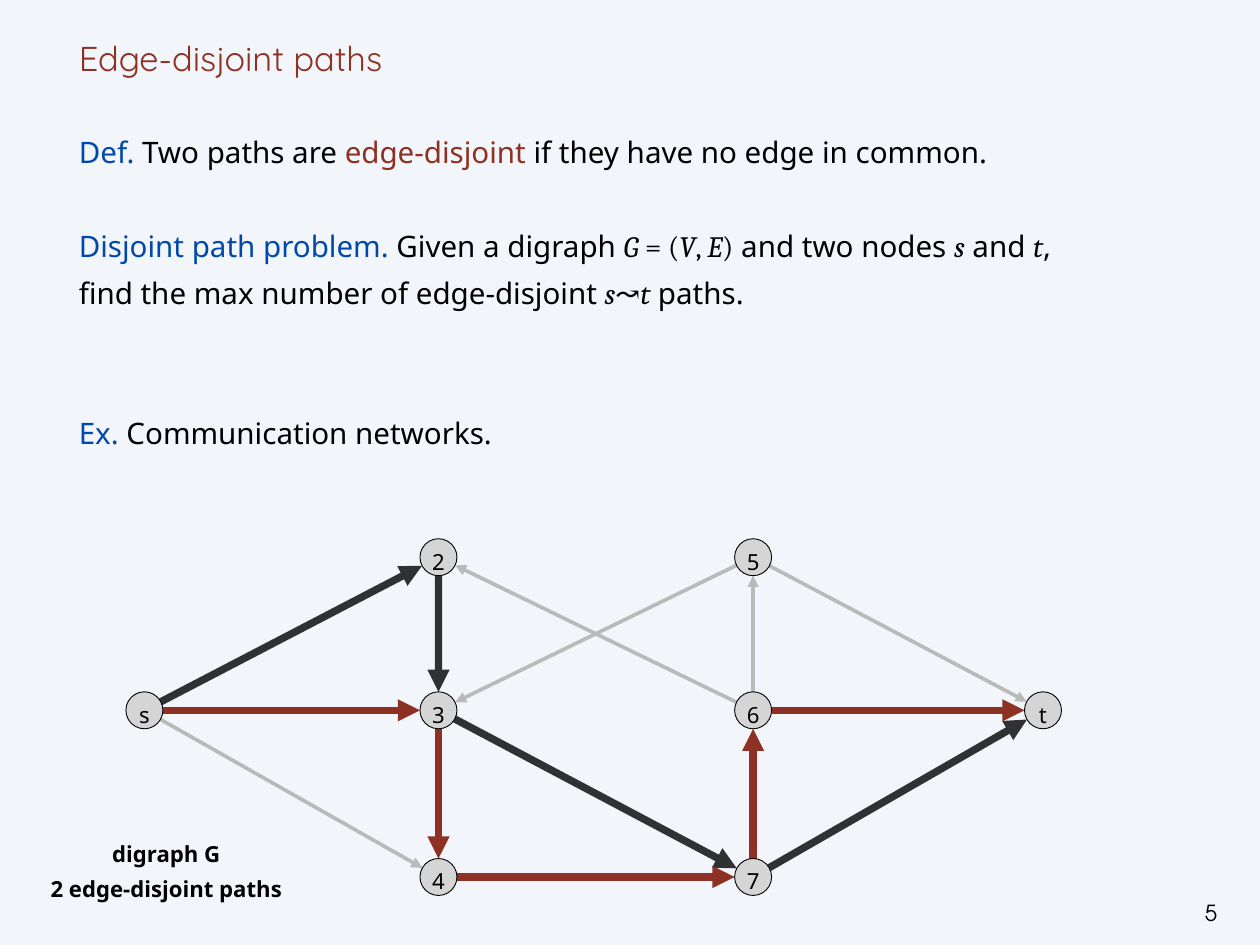
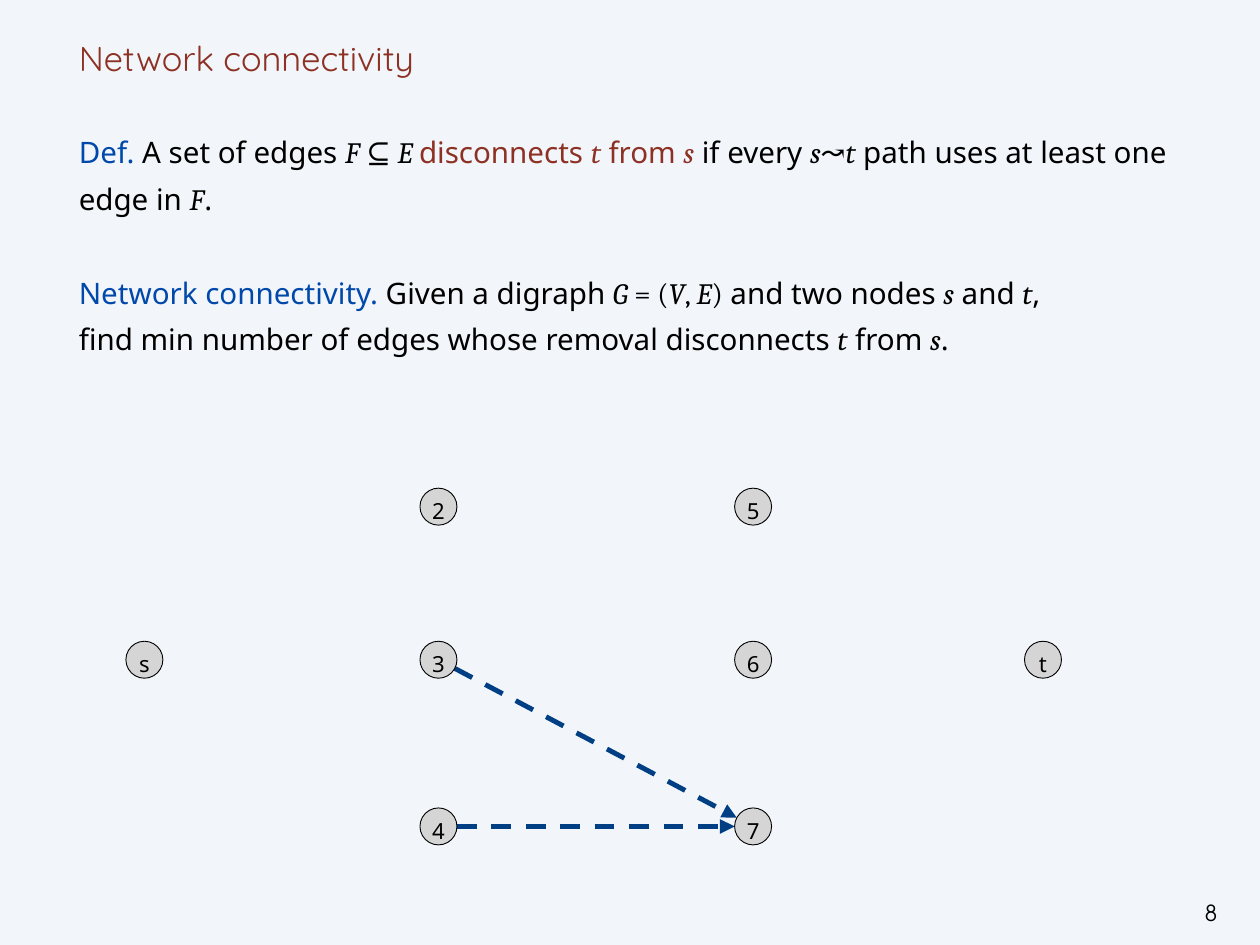
"""Build two lecture slides on edge-disjoint paths and network connectivity."""
import math

from lxml import etree
from pptx import Presentation, util as u
from pptx.dml import color as colors
from pptx.enum import dml, shapes, text
from pptx.oxml import ns

BACKGROUND, BLACK, GREY, NODE_FILL = "F2F6FA", "000000", "BABABA", "D5D5D5"
RED, BLUE, NAVY = "8D3124", "0048AA", "003F83"
SANS, SERIF = "Noto Sans", "Cambria"
EN_SPACE = " "
LINE = u.Pt(38)
RADIUS = 0.53
NODES = {
    "s": (4.14, 20.37), "2": (12.57, 15.98), "3": (12.57, 20.37), "4": (12.57, 25.15),
    "5": (21.59, 15.98), "6": (21.59, 20.37), "7": (21.59, 25.15), "t": (29.9, 20.37),
}
RUN_STYLES = {
    "plain": {},
    "label": {"colour": BLUE},
    "key": {"colour": RED},
    "math": {"name": SERIF, "italic": True},
    "symbol": {"name": SERIF},
    "key math": {"name": SERIF, "italic": True, "colour": RED},
}
EDGE_STYLES = {
    "first path": {"colour": RED, "width": 6},
    "second path": {"colour": BLACK, "width": 6, "alpha": 80},
    "unused": {"colour": GREY, "width": 3},
    "cut": {"colour": NAVY, "width": 4, "dash": dml.MSO_LINE.DASH},
}
GIVEN_DIGRAPH = [
    ("plain", "Given a digraph "), ("math", "G"), ("symbol", " = ("), ("math", "V"),
    ("symbol", ", "), ("math", "E"), ("symbol", ")"), ("plain", " and two nodes "),
    ("math", "s"), ("plain", " and "), ("math", "t"), ("plain", ","), ("break", ""),
]
S_TO_T = [("math", "s"), ("symbol", "↝"), ("math", "t")]
SLIDES = [
    {
        "title": "Edge-disjoint paths",
        "number": "5",
        "body": [
            (0, "Def.", [
                ("plain", "Two paths are "), ("key", "edge-disjoint"),
                ("plain", " if they have no edge in common."),
            ]),
            (1, "Disjoint path problem.", [
                *GIVEN_DIGRAPH, ("plain", "find the max number of edge-disjoint "),
                *S_TO_T, ("plain", " paths."),
            ]),
            (2, "Ex.", [("plain", "Communication networks.")]),
        ],
        "rise": 0,
        "edges": {
            "unused": ["s4", "65", "5t", "62", "53"],
            "second path": ["s2", "23", "37", "7t"],
            "first path": ["s3", "34", "47", "76", "6t"],
        },
        "caption": ["digraph G", "2 edge-disjoint paths"],
    },
    {
        "title": "Network connectivity",
        "number": "8",
        "body": [
            (0, "Def.", [
                ("plain", "A set of edges "), ("math", "F"), ("symbol", " ⊆ "), ("math", "E "),
                ("key", "disconnects "), ("key math", "t"), ("key", " from "), ("key math", "s"),
                ("plain", " if every "), *S_TO_T,
                ("plain", " path uses at least one edge in "), ("math", "F"), ("plain", "."),
            ]),
            (1, "Network connectivity.", [
                *GIVEN_DIGRAPH, ("plain", "find min number of edges whose removal disconnects "),
                ("math", "t"), ("plain", " from "), ("math", "s"), ("plain", "."),
            ]),
        ],
        "rise": 1.45,
        "edges": {"cut": ["37", "47"]},
        "caption": [],
    },
]


def paint(target, code):
    """Give a fill or font colour its hex value."""
    target.rgb = colors.RGBColor.from_string(code)


def write(shape, lines, size, spacing, font=SANS, colour=BLACK, bold=False, margin=0,
          align=text.PP_ALIGN.LEFT, anchor=text.MSO_ANCHOR.TOP, wrap=True):
    """Fill a shape with one paragraph per line and return its paragraphs."""
    frame = shape.text_frame
    frame.word_wrap = wrap
    frame.vertical_anchor = anchor
    frame.margin_left = frame.margin_right = u.Cm(margin)
    frame.margin_top = frame.margin_bottom = u.Cm(margin)
    frame.text = "\n".join(lines)
    for paragraph in frame.paragraphs:
        paragraph.alignment = align
        paragraph.line_spacing = spacing
        paragraph.font.name, paragraph.font.size = font, u.Pt(size)
        paragraph.font.bold = bold
        paint(paragraph.font.color, colour)
    return frame.paragraphs


presentation = Presentation()
presentation.slide_width, presentation.slide_height = u.Cm(36.12), u.Cm(27.1)
master_fill = presentation.slide_master.background.fill
master_fill.solid()
paint(master_fill.fore_color, BACKGROUND)

for content in SLIDES:
    slide = presentation.slides.add_slide(presentation.slide_layouts[6])

    title = slide.shapes.add_textbox(u.Cm(2.26), u.Cm(0), u.Cm(31.6), u.Cm(2.26))
    write(title, [content["title"]], 28, LINE, font="Quicksand", colour=RED,
          anchor=text.MSO_ANCHOR.BOTTOM)

    body = slide.shapes.add_textbox(u.Cm(2.26), u.Cm(3.53), u.Cm(31.6), u.Cm(22.7))
    paragraphs = write(body, [""] * len(content["body"]), 24, LINE)
    for paragraph, (gap, label, runs) in zip(paragraphs, content["body"]):
        paragraph.space_before = gap * LINE
        for style_name, words in [("label", label + EN_SPACE), *runs]:
            if style_name == "break":
                paragraph.add_line_break()
                continue
            style = RUN_STYLES[style_name]
            run = paragraph.add_run()
            run.text = words
            run.font.name = style.get("name")
            run.font.italic = style.get("italic")
            if "colour" in style:
                paint(run.font.color, style["colour"])

    centres = {name: (x, y - content["rise"]) for name, (x, y) in NODES.items()}
    for style_name, edges in content["edges"].items():
        style = EDGE_STYLES[style_name]
        for start, end in edges:
            (x1, y1), (x2, y2) = centres[start], centres[end]
            trim = RADIUS / math.hypot(x2 - x1, y2 - y1)
            dx, dy = trim * (x2 - x1), trim * (y2 - y1)
            edge = slide.shapes.add_connector(
                shapes.MSO_CONNECTOR.STRAIGHT,
                u.Cm(x1 + dx), u.Cm(y1 + dy), u.Cm(x2 - dx), u.Cm(y2 - dy))
            edge.line.width = u.Pt(style["width"])
            paint(edge.line.color, style["colour"])
            if "dash" in style:
                edge.line.dash_style = style["dash"]
            properties = edge.element.spPr
            outline = properties.find(ns.qn("a:ln"))
            if "alpha" in style:
                tint = outline.find(".//" + ns.qn("a:srgbClr"))
                etree.SubElement(tint, ns.qn("a:alpha"), val=str(style["alpha"] * 1000))
            etree.SubElement(outline, ns.qn("a:tailEnd"), type="triangle")
            etree.SubElement(properties, ns.qn("a:effectLst"))

    for name, (x, y) in centres.items():
        node = slide.shapes.add_shape(
            shapes.MSO_SHAPE.OVAL, u.Cm(x - RADIUS), u.Cm(y - RADIUS),
            u.Cm(2 * RADIUS), u.Cm(2 * RADIUS))
        node.shadow.inherit = False
        node.fill.solid()
        paint(node.fill.fore_color, NODE_FILL)
        paint(node.line.color, BLACK)
        node.line.width = u.Pt(0.75)
        write(node, [name], 18, 1.3, align=text.PP_ALIGN.CENTER,
              anchor=text.MSO_ANCHOR.MIDDLE, wrap=False)

    if content["caption"]:
        caption = slide.shapes.add_textbox(u.Cm(1.45), u.Cm(23.88), u.Cm(6.63), u.Cm(1.73))
        write(caption, content["caption"], 18, 1.3, bold=True,
              align=text.PP_ALIGN.CENTER, wrap=False)

    number = slide.shapes.add_textbox(u.Cm(34.32), u.Cm(25.96), u.Cm(0.79), u.Cm(0.74))
    write(number, [content["number"]], 18, u.Pt(14), font="TeX Gyre Adventor", margin=0.1,
          align=text.PP_ALIGN.CENTER, wrap=False)

presentation.save("out.pptx")
